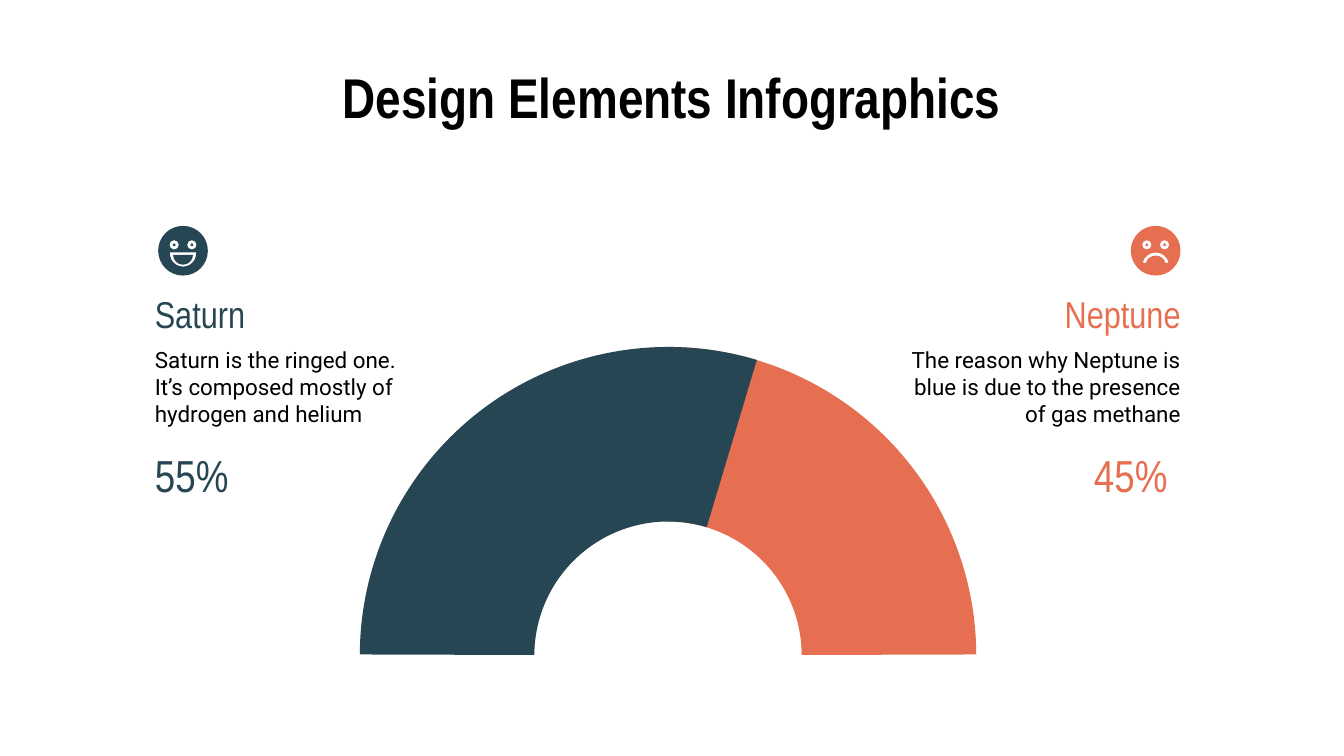
"""Build a half-ring infographic comparing two planets."""
from dataclasses import dataclass
from math import ceil, cos, radians, sin, tan

from lxml import etree
from pptx import Presentation
from pptx.dml.color import RGBColor
from pptx.enum.shapes import MSO_SHAPE
from pptx.enum.text import MSO_ANCHOR, MSO_AUTO_SIZE, PP_ALIGN
from pptx.oxml.ns import qn
from pptx.util import Inches, Pt

ARC = MSO_SHAPE.BLOCK_ARC
LEFT, CENTER, RIGHT = PP_ALIGN.LEFT, PP_ALIGN.CENTER, PP_ALIGN.RIGHT
MIDDLE = MSO_ANCHOR.MIDDLE
NO_FIT = MSO_AUTO_SIZE.NONE
COLORS = {"black": "000000", "teal": "264653", "coral": "E76F51"}
HEAD_FONT, BODY_FONT = "Arial Narrow", "Roboto"
COLS, ROWS = 100, 56.25
FACE_ROW, FACE_RADIUS = 18.66, 1.85
EYE_DX, EYE_DY, EYE_RADIUS, PUPIL_RADIUS = 0.66, 0.44, 0.35, 0.12
RING_ROW, RING_SIZE = 25.82, 45.9
RING_START, RING_THICKNESS = 108.105, 0.283

Contour = list[tuple[float, float]]


@dataclass
class Planet:
    name: str
    text: str
    share: str
    color: str
    align: PP_ALIGN
    text_col: float
    share_col: float
    face_col: float
    happy: bool
    ring_col: float
    ring_end: float


PLANETS = [
    Planet("Neptune", "The reason why Neptune is blue is due to the presence of gas methane",
           "45%", "coral", RIGHT, 66.54, 76.64, 85.99, False, 26.74, 161.97),
    Planet("Saturn", "Saturn is the ringed one. It’s composed mostly of hydrogen and helium",
           "55%", "teal", LEFT, 10.54, 10.54, 13.62, True, 26.77, 172.011),
]


def cells(n: float) -> int:
    """Convert grid cells to a length."""
    return Inches(10 * n / COLS)


def paint(s, color: str) -> None:
    """Fill a shape with one flat colour."""
    s.fill.solid()
    s.fill.fore_color.rgb = RGBColor.from_string(COLORS[color])
    s.line.fill.background()
    s.shadow.inherit = False


def write(s, box: tuple, text: str, size: float, color: str, align: PP_ALIGN,
          font: str = HEAD_FONT, bold: bool = False):
    """Place a text shape and format its only paragraph."""
    s.left, s.top, s.width, s.height = map(cells, box)
    tf = s.text_frame
    tf.text = text
    tf.word_wrap = True
    tf.auto_size = NO_FIT
    tf.vertical_anchor = MIDDLE
    tf.margin_left = tf.margin_right = tf.margin_top = tf.margin_bottom = cells(1)
    p = tf.paragraphs[0]
    p.alignment = align
    r = p.runs[0]
    r.font.size, r.font.name, r.font.bold = Pt(size), font, bold
    r.font.color.rgb = RGBColor.from_string(COLORS[color])
    return s


def add_text(shapes, box: tuple, *style):
    """Add a formatted text box."""
    return write(shapes.add_textbox(0, 0, 0, 0), box, *style)


def arc(x: float, y: float, radius: float, start: float = 0, end: float = 360) -> Contour:
    """Return a start point, then two control points and an end for each curve."""
    count = ceil(abs(end - start) / 90)
    step = radians(end - start) / count
    k = 4 / 3 * tan(step / 4)
    points = [(x + radius * cos(radians(start)), y + radius * sin(radians(start)))]
    for i in range(count):
        a = radians(start) + i * step
        b = a + step
        points += [(x + radius * (cos(a) - k * sin(a)), y + radius * (sin(a) + k * cos(a))),
                   (x + radius * (cos(b) + k * sin(b)), y + radius * (sin(b) - k * cos(b))),
                   (x + radius * cos(b), y + radius * sin(b))]
    return points


def join(first: Contour, second: Contour) -> Contour:
    """Link two arcs by a straight curve."""
    return first + [first[-1], second[0]] + second


def curve(s) -> None:
    """Turn each three line segments into one cubic curve."""
    lines = list(s.element.iter(qn("a:lnTo")))
    for i in range(0, len(lines), 3):
        bezier = etree.Element(qn("a:cubicBezTo"))
        lines[i].addprevious(bezier)
        for line in lines[i:i + 3]:
            bezier.append(line[0])
            line.getparent().remove(line)


def add_outline(shapes, color: str, *contours: Contour):
    """Draw closed contours as one shape, inner ones being holes."""
    scaled = [[(cells(x), cells(y)) for x, y in c] for c in contours]
    builder = shapes.build_freeform(*scaled[0][0], scale=1.0)
    for i, points in enumerate(scaled):
        if i:
            builder.move_to(*points[0])
        builder.add_line_segments(points[1:], close=True)
    s = builder.convert_to_shape()
    curve(s)
    paint(s, color)
    return s


def add_face(shapes, planet: Planet) -> None:
    """Draw a round face with a smile or a frown."""
    x, y = planet.face_col, FACE_ROW
    eyes = [(x + dx, y - EYE_DY) for dx in (-EYE_DX, EYE_DX)]
    parts = [add_outline(shapes, planet.color, arc(*eye, PUPIL_RADIUS)) for eye in eyes]
    if planet.happy:
        mouth = arc(x, y + 0.2, 0.98, -5, 185)
        parts.append(add_outline(shapes, planet.color, arc(x, y + 0.3, 0.74, 0, 180)))
    else:
        mouth = join(arc(x, y + 1.13, 1, 195, 345), arc(x, y + 1.13, 0.77, 345, 195))
    holes = [arc(*eye, EYE_RADIUS) for eye in eyes]
    parts.append(add_outline(shapes, planet.color, arc(x, y, FACE_RADIUS), *holes, mouth))
    shapes.add_group_shape(parts)


def add_label(shapes, planet: Planet) -> None:
    """Group a planet's name and description."""
    x, align = planet.text_col, planet.align
    shapes.add_group_shape([
        add_text(shapes, (x, 21.3, 22.3, 4), planet.name, 20, planet.color, align),
        add_text(shapes, (x, 25.14, 22.3, 7.3), planet.text, 12, "black", align, BODY_FONT),
    ])


def add_ring(shapes, planet: Planet) -> None:
    """Draw a planet's part of the half ring."""
    s = shapes.add_shape(ARC, *map(cells, (planet.ring_col, RING_ROW, RING_SIZE, RING_SIZE)))
    for i, value in enumerate((RING_START, planet.ring_end, RING_THICKNESS)):
        s.adjustments[i] = value
    if planet.align == RIGHT:
        s.element.spPr.xfrm.set("flipH", "1")
    paint(s, planet.color)


def add_share(shapes, planet: Planet) -> None:
    """Write a planet's percentage."""
    add_text(shapes, (planet.share_col, 33.3, 11.2, 4), planet.share, 24,
             planet.color, planet.align)


def main() -> None:
    """Build and save the slide."""
    prs = Presentation()
    prs.slide_width, prs.slide_height = cells(COLS), cells(ROWS)
    slide = prs.slides.add_slide(prs.slide_layouts[5])
    write(slide.shapes.title, (5, 4.5, 90, 5.3), "Design Elements Infographics",
          30, "black", CENTER, HEAD_FONT, True)
    for add_part in (add_label, add_ring, add_face, add_share):
        for planet in PLANETS:
            add_part(slide.shapes, planet)
    prs.save("out.pptx")


if __name__ == "__main__":
    main()
